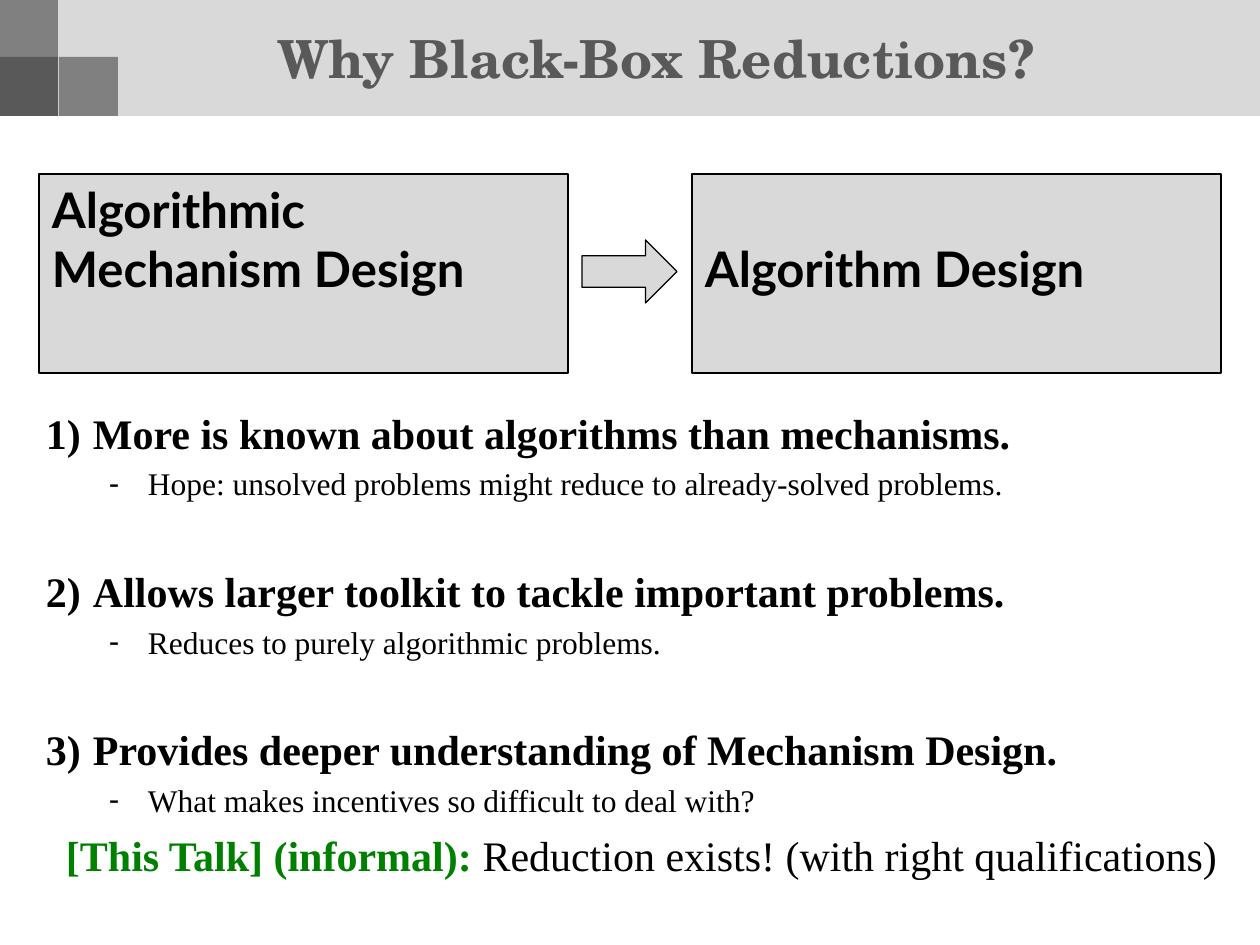
from dataclasses import dataclass

from lxml.etree import SubElement
from pptx import Presentation
from pptx.dml.color import RGBColor
from pptx.enum.shapes import MSO_SHAPE
from pptx.enum.text import MSO_ANCHOR, MSO_AUTO_SIZE, PP_ALIGN
from pptx.oxml.ns import qn
from pptx.util import Pt

PX = 914400 // 126  # EMU in one px


@dataclass(frozen=True)
class Theme:
    """Colours, fonts and type sizes of the slide."""
    black: str = "000000"
    dark: str = "595959"
    middle: str = "808080"
    light: str = "D9D9D9"
    green: str = "008000"
    title: tuple = ("TeX Gyre Schola", 30)
    box: tuple = ("Lato", 28)
    heading: tuple = ("Times New Roman", 24)
    detail: tuple = ("Times New Roman", 18)


class SlideBuilder:
    def __init__(self, slide, theme):
        self.slide = slide
        self.theme = theme

    def place(self, shape, left, top, width, height):
        values = {"left": left, "top": top, "width": width, "height": height}
        for name, value in values.items():
            setattr(shape, name, value * PX)

    def format_frame(self, frame, anchor=MSO_ANCHOR.TOP, top_inset=6):
        values = {
            "word_wrap": True,
            "auto_size": MSO_AUTO_SIZE.NONE,
            "vertical_anchor": anchor,
            "margin_left": 13 * PX,
            "margin_right": 13 * PX,
            "margin_top": top_inset * PX,
            "margin_bottom": 6 * PX,
        }
        for name, value in values.items():
            setattr(frame, name, value)

    def add_span(self, para, text, style, color, bold=True):
        span = para.add_run()
        span.text = text
        family, size = style
        values = {"name": family, "size": Pt(size), "bold": bold}
        for name, value in values.items():
            setattr(span.font, name, value)
        span.font.color.rgb = RGBColor.from_string(color)

    def shape(self, kind, place, fill, line=None):
        shape = self.slide.shapes.add_shape(kind, 0, 0, 0, 0)
        self.place(shape, *place)
        shape.shadow.inherit = False
        shape.fill.solid()
        shape.fill.fore_color.rgb = RGBColor.from_string(fill)
        if line:
            shape.line.color.rgb = RGBColor.from_string(line)
            shape.line.width = Pt(0.75)
        else:
            shape.line.fill.background()
        return shape

    def label_box(self, place, lines, top_inset=6):
        theme = self.theme
        box = self.shape(MSO_SHAPE.RECTANGLE, place, theme.light, theme.black)
        frame = box.text_frame
        self.format_frame(frame, top_inset=top_inset)
        for index, text in enumerate(lines):
            para = frame.add_paragraph() if index else frame.paragraphs[0]
            para.alignment = PP_ALIGN.LEFT
            self.add_span(para, text, theme.box, theme.black)

    def title(self, place, text):
        title = self.slide.shapes.title
        # Bring the title in front of the header band
        title.element.getparent().append(title.element)
        self.place(title, *place)
        self.format_frame(title.text_frame, MSO_ANCHOR.MIDDLE)
        para = title.text_frame.paragraphs[0]
        para.alignment = PP_ALIGN.CENTER
        self.add_span(para, text, self.theme.title, self.theme.dark)

    def bullet(self, para, tag, attributes, indent, hanging):
        properties = para._p.get_or_add_pPr()
        properties.set("marL", str(indent * PX))
        properties.set("indent", str(-hanging * PX))
        SubElement(properties, qn(tag), attributes)

    def reasons(self, place, reasons):
        theme = self.theme
        body = self.slide.placeholders[1]
        self.place(body, *place)
        frame = body.text_frame
        self.format_frame(frame, top_inset=10)
        for index, (heading, detail) in enumerate(reasons):
            para = frame.add_paragraph() if index else frame.paragraphs[0]
            para.space_before = Pt(36 if index else 0)
            self.bullet(para, "a:buAutoNum", {"type": "arabicParenR"}, 47, 47)
            self.add_span(para, heading, theme.heading, theme.black)

            para = frame.add_paragraph()
            para.level = 1
            para.space_before = Pt(4)
            self.bullet(para, "a:buChar", {"char": "-"}, 102, 39)
            self.add_span(para, detail, theme.detail, theme.black, bold=False)

    def text_line(self, place, spans):
        box = self.slide.shapes.add_textbox(0, 0, 0, 0)
        self.place(box, *place)
        self.format_frame(box.text_frame)
        para = box.text_frame.paragraphs[0]
        for text, color, bold in spans:
            self.add_span(para, text, self.theme.heading, color, bold)


def main():
    deck = Presentation()
    deck.slide_width, deck.slide_height = 1260 * PX, 945 * PX
    page = deck.slides.add_slide(deck.slide_layouts[1])
    theme = Theme()
    builder = SlideBuilder(page, theme)

    # Header band with three squares
    builder.shape(MSO_SHAPE.RECTANGLE, (0, 0, 1260, 116), theme.light)
    squares = [(-1, -1, theme.middle), (59, 57, theme.middle), (-1, 57, theme.dark)]
    for left, top, fill in squares:
        builder.shape(MSO_SHAPE.RECTANGLE, (left, top, 59, 59), fill)
    builder.title((118, 6, 1076, 104), "Why Black-Box Reductions?")

    # Reduction from one problem to the other
    builder.label_box((39, 174, 529, 199), ["Algorithmic", "Mechanism Design"])
    builder.label_box((692, 174, 529, 199), ["Algorithm Design"], top_inset=65)
    builder.shape(MSO_SHAPE.RIGHT_ARROW, (582, 240, 95, 63), theme.light, theme.black)

    # Numbered reasons
    builder.reasons((33, 397, 1218, 548), [
        ("More is known about algorithms than mechanisms.",
         "Hope: unsolved problems might reduce to already-solved problems."),
        ("Allows larger toolkit to tackle important problems.",
         "Reduces to purely algorithmic problems."),
        ("Provides deeper understanding of Mechanism Design.",
         "What makes incentives so difficult to deal with?"),
    ])

    # Result of the talk
    builder.text_line((53, 824, 1179, 63), [
        ("[This Talk] (informal): ", theme.green, True),
        ("Reduction exists! (with right qualifications)", theme.black, False),
    ])

    deck.save("out.pptx")


if __name__ == "__main__":
    main()
